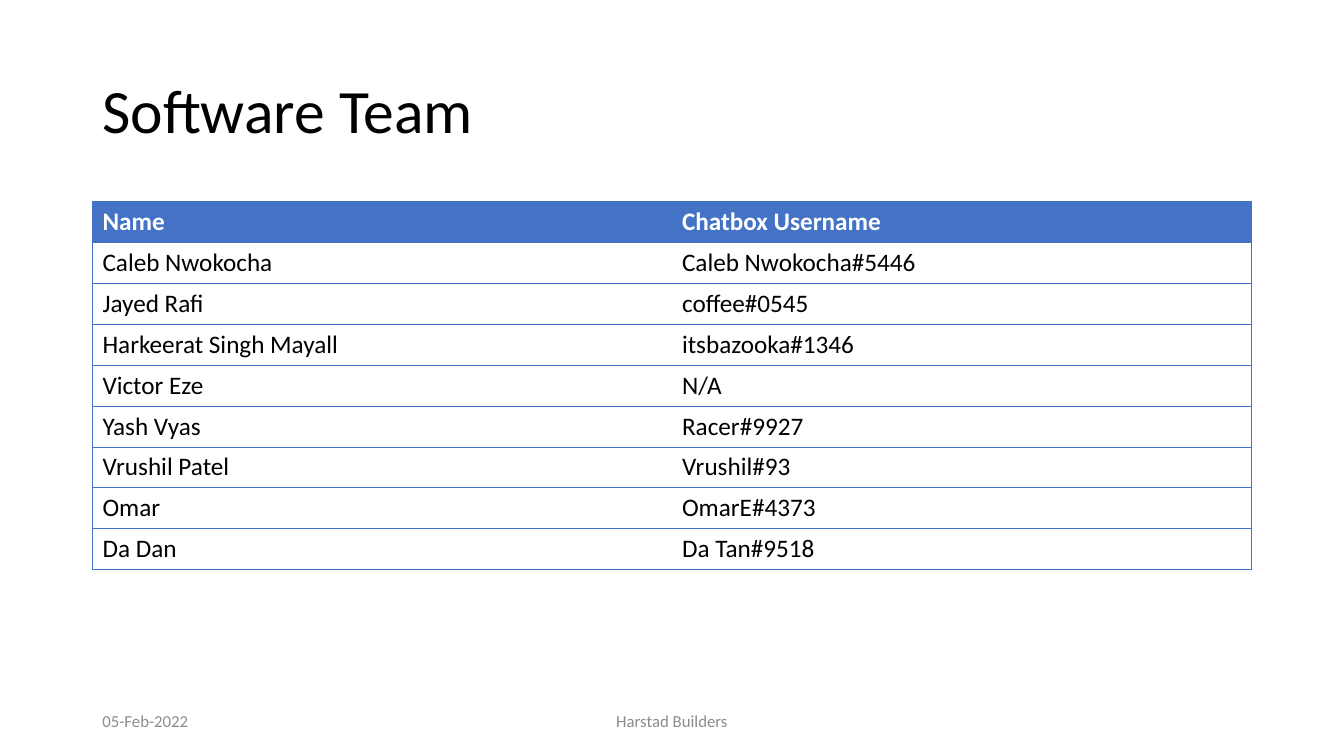
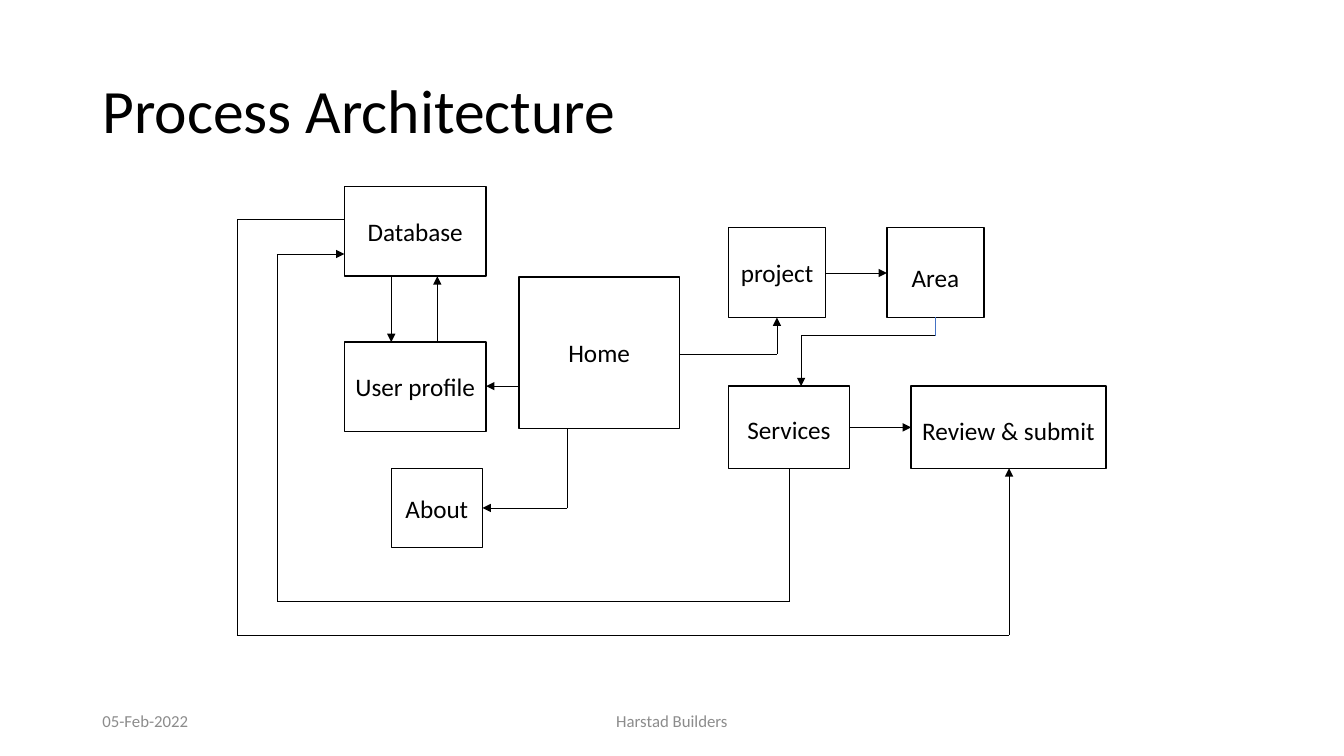
"""Builds a team roster slide and a process architecture slide."""
import itertools

import lxml.etree
import pptx
import pptx.dml.color
import pptx.enum.shapes
import pptx.enum.text
import pptx.oxml.ns
import pptx.util

Cm = pptx.util.Cm
Pt = pptx.util.Pt
RGBColor = pptx.dml.color.RGBColor
ALIGN = pptx.enum.text.PP_ALIGN
ANCHOR = pptx.enum.text.MSO_ANCHOR
qn = pptx.oxml.ns.qn

BLACK = RGBColor(0x00, 0x00, 0x00)
WHITE = RGBColor(0xFF, 0xFF, 0xFF)
BLUE = RGBColor(0x44, 0x72, 0xC4)
GREY = RGBColor(0x8C, 0x8C, 0x8C)

TITLE = {"size": Pt(44), "color": BLACK}
FOOTER = {"size": Pt(12), "color": GREY}
BODY = {"size": Pt(18), "color": BLACK}
HEADER = {"size": Pt(18), "color": WHITE, "bold": True}

LEFT, CONTENT_WIDTH = 2.33, 29.21
ROW_HEIGHT = 1.03

TEAM = [
    ("Name", "Chatbox Username"),
    ("Caleb Nwokocha", "Caleb Nwokocha#5446"),
    ("Jayed Rafi", "coffee#0545"),
    ("Harkeerat Singh Mayall", "itsbazooka#1346"),
    ("Victor Eze", "N/A"),
    ("Yash Vyas", "Racer#9927"),
    ("Vrushil Patel", "Vrushil#93"),
    ("Omar", "OmarE#4373"),
    ("Da Dan", "Da Tan#9518"),
]

STEPS = [
    ("Home", 13.08, 6.98, 4.04, 3.82, 0),
    ("Database", 8.68, 4.7, 3.57, 2.26, 0),
    ("User profile", 8.68, 8.62, 3.57, 2.26, 0),
    ("About", 9.86, 11.8, 2.3, 2, 0),
    ("project", 18.36, 5.74, 2.45, 2.26, 0),
    ("Area", 22.35, 5.74, 2.45, 2.26, 0.22),
    ("Services", 18.36, 9.73, 3.05, 2.07, 0.12),
    ("Review & submit", 22.96, 9.73, 4.91, 2.07, 0.18),
]

FLOWS = [
    [(9.86, 6.96), (9.86, 8.62)],
    [(11.02, 8.62), (11.02, 6.96)],
    [(13.08, 9.73), (12.25, 9.73)],
    [(14.3, 10.8), (14.3, 12.8), (12.16, 12.8)],
    [(17.12, 8.92), (19.58, 8.92), (19.58, 8)],
    [(20.81, 6.88), (22.35, 6.88)],
    [(23.57, 8.46), (20.19, 8.46), (20.19, 9.73)],
    [(21.41, 10.77), (22.96, 10.77)],
    [(19.89, 11.8), (19.89, 15.16), (6.98, 15.16), (6.98, 6.4), (8.68, 6.4)],
    [(8.68, 5.54), (5.97, 5.54), (5.97, 16), (25.43, 16), (25.43, 11.8)],
]
AREA_EXIT = [(23.57, 8), (23.57, 8.46)]


def write(frame, wording, style, align=ALIGN.LEFT):
    """Put one styled paragraph in a text frame and return it."""
    paragraph = frame.paragraphs[0]
    paragraph.alignment = align
    run = paragraph.add_run()
    run.text = wording
    run.font.name = "Calibri"
    for key, value in style.items():
        if key == "color":
            run.font.color.rgb = value
        else:
            setattr(run.font, key, value)
    return paragraph


def add_label(slide, wording, place, style, align=ALIGN.LEFT):
    """Add a vertically centred text box and return its paragraph."""
    frame = slide.shapes.add_textbox(*map(Cm, place)).text_frame
    frame.word_wrap = True
    frame.vertical_anchor = ANCHOR.MIDDLE
    return write(frame, wording, style, align)


def add_page(deck, heading):
    """Add a blank slide with the shared title and footer."""
    slide = deck.slides.add_slide(deck.slide_layouts[6])
    title = add_label(slide, heading, (LEFT, 1.02, CONTENT_WIDTH, 3.68), TITLE)
    title.line_spacing = 0.9
    add_label(slide, "05-Feb-2022", (LEFT, 17.65, 7.62, 1.02), FOOTER)
    add_label(slide, "Harstad Builders", (11.22, 17.65, 11.43, 1.02), FOOTER, ALIGN.CENTER)
    return slide


def set_borders(cell, visible):
    """Draw blue borders on the visible sides and clear the others."""
    properties = cell._tc.get_or_add_tcPr()
    for position, side in enumerate("LRTB"):
        border = lxml.etree.Element(qn(f"a:ln{side}"), w=str(Pt(0.5)))
        if side in visible:
            fill = lxml.etree.SubElement(border, qn("a:solidFill"))
            lxml.etree.SubElement(fill, qn("a:srgbClr"), val=str(BLUE))
        else:
            lxml.etree.SubElement(border, qn("a:noFill"))
        properties.insert(position, border)


def add_roster(slide, members):
    """Add the table of members under a blue header row."""
    place = (LEFT, 5.08, CONTENT_WIDTH, ROW_HEIGHT * len(members))
    roster = slide.shapes.add_table(len(members), 2, *map(Cm, place)).table
    roster.horz_banding = False
    for row, member in enumerate(members):
        for column, wording in enumerate(member):
            cell = roster.cell(row, column)
            if row == 0:
                cell.fill.solid()
                cell.fill.fore_color.rgb = BLUE
            else:
                cell.fill.background()
            write(cell.text_frame, wording, BODY if row else HEADER)
            set_borders(cell, "TB" + "LR"[column])


def add_step(slide, wording, left, top, width, height, drop):
    """Add an outlined box with a centred label, lowered by a top inset."""
    step = slide.shapes.add_shape(
        pptx.enum.shapes.MSO_SHAPE.RECTANGLE, *map(Cm, (left, top, width, height)))
    step.shadow.inherit = False
    step.fill.background()
    step.line.color.rgb = BLACK
    step.line.width = Pt(1)
    layout = {"margin_left": 0, "margin_right": 0, "margin_top": Cm(drop),
              "margin_bottom": 0, "word_wrap": False, "vertical_anchor": ANCHOR.MIDDLE}
    for key, value in layout.items():
        setattr(step.text_frame, key, value)
    write(step.text_frame, wording, BODY, ALIGN.CENTER)


def add_flow(slide, stops, color=BLACK, arrow=True):
    """Join the stops with straight lines, with an arrowhead at the last."""
    for start, end in itertools.pairwise(stops):
        leg = slide.shapes.add_connector(
            pptx.enum.shapes.MSO_CONNECTOR.STRAIGHT, *map(Cm, start + end))
        leg.line.color.rgb = color
        leg.line.width = Pt(0.5)
        properties = leg.element.spPr
        if arrow and end == stops[-1]:
            lxml.etree.SubElement(properties.find(qn("a:ln")), qn("a:tailEnd"), type="triangle")
        lxml.etree.SubElement(properties, qn("a:effectLst"))


def main():
    """Build and save the deck."""
    deck = pptx.Presentation()
    deck.slide_width, deck.slide_height = Cm(33.87), Cm(19.05)

    add_roster(add_page(deck, "Software Team"), TEAM)

    architecture = add_page(deck, "Process Architecture")
    for step in STEPS:
        add_step(architecture, *step)
    for stops in FLOWS:
        add_flow(architecture, stops)
    add_flow(architecture, AREA_EXIT, BLUE, arrow=False)

    deck.save("out.pptx")


main()
